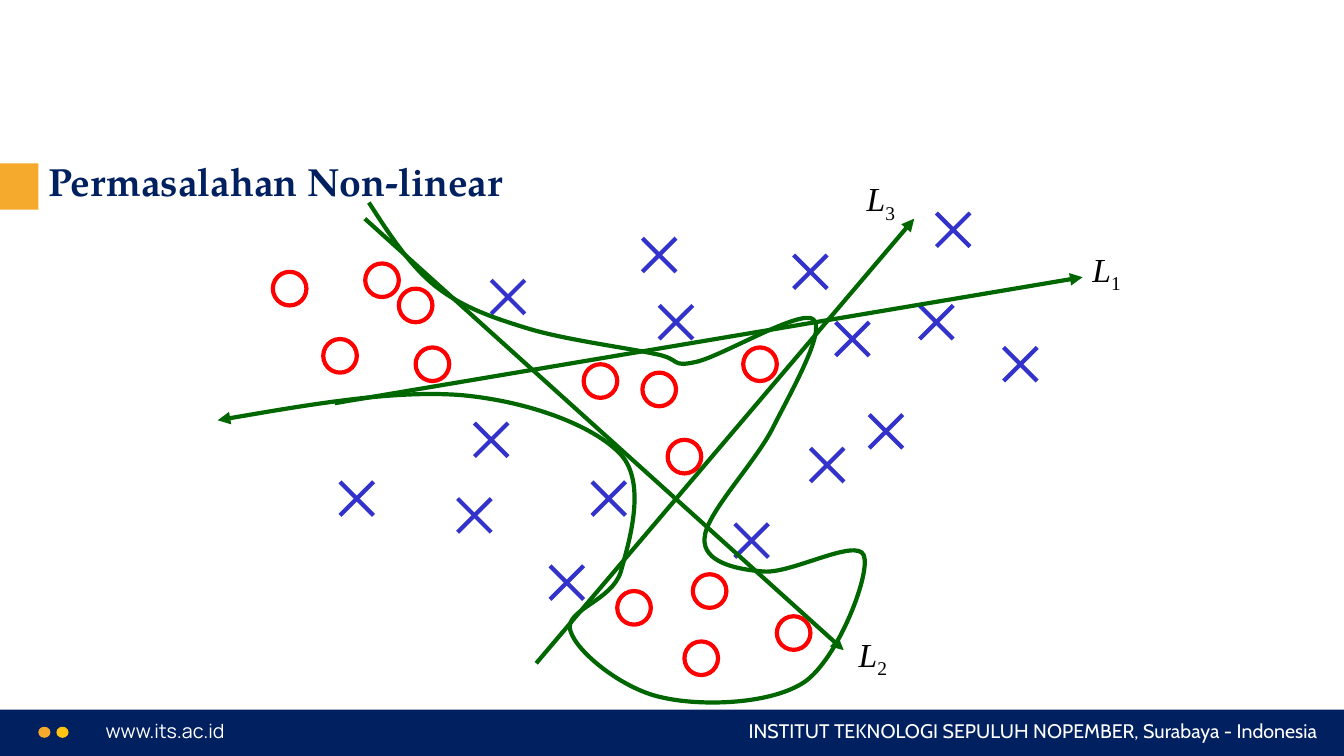
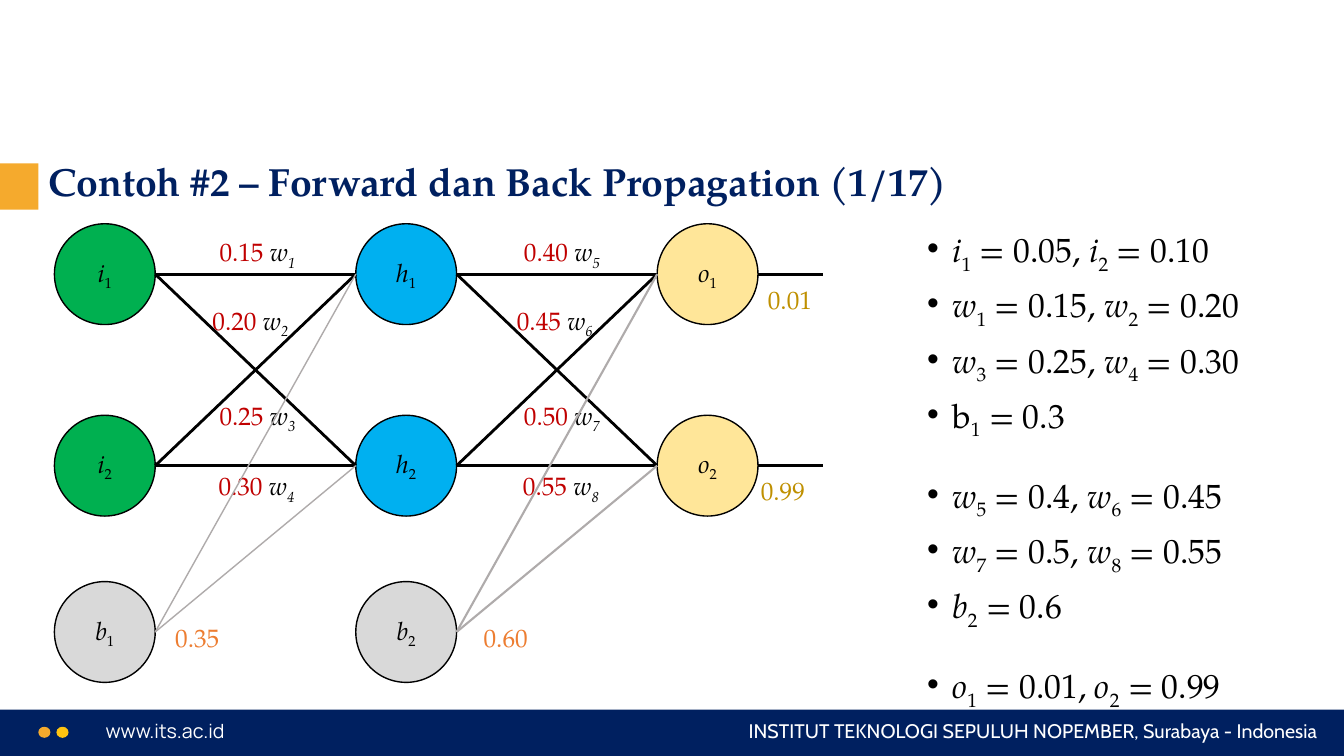
from dataclasses import dataclass
from itertools import chain

from lxml import etree
from pptx import Presentation
from pptx.dml.color import RGBColor
from pptx.enum.shapes import MSO_CONNECTOR, MSO_SHAPE
from pptx.enum.text import MSO_ANCHOR, PP_ALIGN
from pptx.oxml.ns import qn
from pptx.util import Inches, Pt

STRAIGHT = MSO_CONNECTOR.STRAIGHT
OVAL, RECTANGLE = MSO_SHAPE.OVAL, MSO_SHAPE.RECTANGLE
TOP, MIDDLE = MSO_ANCHOR.TOP, MSO_ANCHOR.MIDDLE
LEFT, CENTER, RIGHT = PP_ALIGN.LEFT, PP_ALIGN.CENTER, PP_ALIGN.RIGHT


@dataclass(frozen=True)
class Theme:
    width: float = 40 / 3
    height: float = 7.5
    navy: str = "002060"
    orange: str = "F5AA2D"
    yellow: str = "FFC411"
    white: str = "FFFFFF"
    black: str = "000000"
    cross: str = "3333CC"
    ring: str = "FF0000"
    boundary: str = "006600"
    input: str = "00B050"
    hidden: str = "00B0F0"
    output: str = "FFE699"
    bias: str = "D9D9D9"
    bias_edge: str = "AFABAB"
    weight: str = "C00000"
    bias_value: str = "ED7D31"
    target: str = "BF9000"
    serif: str = "TeX Gyre Pagella"
    math: str = "Times New Roman"
    site: str = "Manrope"
    institute: str = "Cabin"
    bullet: str = "Arial"
    title_size: int = 28
    body_size: int = 24
    label_size: int = 18
    footer_size: int = 14


THEME = Theme()
SITE = "www.its.ac.id"
INSTITUTE = "INSTITUT TEKNOLOGI SEPULUH NOPEMBER, Surabaya - Indonesia"

PLOT_TITLE = "Permasalahan Non-linear"
CELL = 1 / 12
PLOT_ORIGIN = (0.04, 0.03)
MARK_CELLS = 4
CROSSES = [
    (58, 33), (54, 59), (56, 50), (76, 28), (94, 30), (119, 41), (103, 49), (87, 62),
    (96, 53), (111, 25), (70, 57), (78, 36), (65, 67), (109, 36), (99, 38), (40, 57),
]
RINGS = [
    (76, 44), (88, 41), (69, 43), (79, 52), (73, 70), (43, 31), (47, 34),
    (32, 32), (81, 76), (38, 40), (49, 41), (82, 68), (92, 73),
]
SEPARATORS = [
    ("1", (3.32, 4), (10.74, 2.75), (10.74, 2.42)),
    ("2", (3.62, 2.17), (8.37, 6.45), (8.42, 6.24)),
    ("3", (5.32, 6.58), (9.07, 2.17), (8.5, 1.72)),
]
BOUNDARY_START = (2.16, 4.17)
BOUNDARY_CURVES = [
    ((3.03, 4.02), (3.91, 3.87), (4.57, 3.92)),
    ((5.24, 3.98), (5.89, 4.22), (6.16, 4.51)),
    ((6.42, 4.8), (6.24, 5.38), (6.16, 5.67)),
    ((6.07, 5.97), (5.59, 6.05), (5.66, 6.26)),
    ((5.72, 6.47), (6.18, 6.84), (6.57, 6.92)),
    ((6.96, 7.01), (7.66, 6.99), (7.99, 6.76)),
    ((8.32, 6.52), (8.64, 5.69), (8.57, 5.51)),
    ((8.5, 5.33), (7.84, 5.7), (7.57, 5.67)),
    ((7.31, 5.65), (6.97, 5.58), (6.99, 5.34)),
    ((7, 5.1), (7.47, 4.62), (7.66, 4.26)),
    ((7.84, 3.9), (8.2, 3.28), (8.07, 3.17)),
    ((7.95, 3.06), (7.17, 3.53), (6.91, 3.59)),
    ((6.64, 3.65), (6.77, 3.56), (6.49, 3.51)),
    ((6.21, 3.45), (5.6, 3.37), (5.24, 3.26)),
    ((4.88, 3.15), (4.59, 3.05), (4.32, 2.84)),
    ((4.06, 2.63), (3.86, 2.32), (3.66, 2.01)),
]

NETWORK_TITLE = "Contoh #2 – Forward dan Back Propagation (1/17)"
LAYER_LEFT, LAYER_PITCH, NODE_SIZE = 0.54, 2.99, 1
ROW_TOPS = (2.22, 4.12, 5.77)
BIAS_ROW = 2
LAYERS = [("i", THEME.input), ("h", THEME.hidden), ("o", THEME.output)]
WEIGHTS = [("0.15", "0.20", "0.25", "0.30"), ("0.40", "0.45", "0.50", "0.55")]
WEIGHT_LEFT, WEIGHT_PITCH = 2.08, 3.02
WEIGHT_SPOTS = [(0, 2.3), (-0.07, 2.98), (0, 3.92), (-0.01, 4.62)]
BIAS_EDGE_WIDTHS = (1, 1.5)
VALUES = [
    ("0.35", (1.64, 6.12), THEME.bias_value),
    ("0.60", (4.7, 6.12), THEME.bias_value),
    ("0.01", (7.52, 2.77), THEME.target),
    ("0.99", (7.45, 4.67), THEME.target),
]
EQUATION_GROUPS = [
    [
        [("i", "1", "0.05"), ("i", "2", "0.10")],
        [("w", "1", "0.15"), ("w", "2", "0.20")],
        [("w", "3", "0.25"), ("w", "4", "0.30")],
        [("b", "1", "0.3")],
    ],
    [
        [("w", "5", "0.4"), ("w", "6", "0.45")],
        [("w", "7", "0.5"), ("w", "8", "0.55")],
        [("b", "2", "0.6")],
    ],
    [[("o", "1", "0.01"), ("o", "2", "0.99")]],
]
UPRIGHT = ("b", "1", "0.3")
LINE_GAP, GROUP_GAP = 10, 27.5


def rgb(color):
    return RGBColor.from_string(color)


def plain(text, color=None):
    return text, False, False, color


def symbol(text):
    return text, True, False, None


def index(text, italic=False):
    return text, italic, True, None


def write(para, spans, size, color, font=THEME.serif, bold=False, align=LEFT):
    para.alignment = align
    para.font.name = font
    para.font.size = Pt(size)
    para.font.bold = bold
    para.font.color.rgb = rgb(color)
    for text, italic, lowered, span_color in spans:
        span = para.add_run()
        span.text = text
        span.font.italic = italic
        if span_color:
            span.font.color.rgb = rgb(span_color)
        if lowered:
            span._r.get_or_add_rPr().set("baseline", "-25000")


def add_box(page, left, top, width, height, wrap=True, anchor=TOP):
    box = page.shapes.add_textbox(*map(Inches, (left, top, width, height)))
    box.text_frame.word_wrap = wrap
    box.text_frame.vertical_anchor = anchor
    return box.text_frame


def add_label(page, place, size, spans, points, color, font=THEME.serif):
    frame = add_box(page, *place, *size, wrap=False)
    write(frame.paragraphs[0], spans, points, color, font)


def add_form(page, kind, left, top, width, height, fill=None, line=None, weight=1):
    form = page.shapes.add_shape(kind, *map(Inches, (left, top, width, height)))
    form.shadow.inherit = False
    if fill:
        form.fill.solid()
        form.fill.fore_color.rgb = rgb(fill)
    else:
        form.fill.background()
    if line:
        draw_line(form, line, weight)
    else:
        form.line.fill.background()
    return form


def draw_line(form, color, weight, arrow=None):
    form.line.color.rgb = rgb(color)
    form.line.width = Pt(weight)
    if arrow:
        outline = form.element.spPr.find(qn("a:ln"))
        etree.SubElement(outline, qn(f"a:{arrow}"), type="triangle")


def add_line(page, start, end, color, weight, arrow=None):
    line = page.shapes.add_connector(STRAIGHT, *map(Inches, (*start, *end)))
    draw_line(line, color, weight, arrow)
    etree.SubElement(line.element.spPr, qn("a:effectLst"))


def add_page(deck, title):
    page = deck.slides.add_slide(deck.slide_layouts[6])
    add_form(page, RECTANGLE, 0, 7.04, THEME.width, 0.46, THEME.navy)
    dots = page.shapes.add_group_shape()
    for left, color in ((0.38, THEME.orange), (0.56, THEME.yellow)):
        add_form(dots, OVAL, left, 7.21, 0.12, 0.11, color)
    for left, width, text, font, align in (
        (0.95, 4.28, SITE, THEME.site, LEFT),
        (5.91, 7.26, INSTITUTE, THEME.institute, RIGHT),
    ):
        frame = add_box(page, left, 7.08, width, 0.34)
        write(frame.paragraphs[0], [plain(text)], THEME.footer_size, THEME.white, font, align=align)
    add_form(page, RECTANGLE, 0, 1.62, 0.38, 0.46, THEME.orange)
    para = add_box(page, 0.38, 1.4, 12.56, 0.85, anchor=MIDDLE).paragraphs[0]
    para.line_spacing = 0.9
    write(para, [plain(title)], THEME.title_size, THEME.navy, bold=True)
    return page


def mark_place(column, row):
    return PLOT_ORIGIN[0] + column * CELL, PLOT_ORIGIN[1] + row * CELL


def add_boundary(page):
    builder = page.shapes.build_freeform(*map(Inches, BOUNDARY_START))
    points = [tuple(map(Inches, point)) for point in chain(*BOUNDARY_CURVES)]
    builder.add_line_segments(points, close=False)
    boundary = builder.convert_to_shape()
    segments = list(boundary.element.iter(qn("a:lnTo")))
    for first, second, end in zip(*[iter(segments)] * 3):
        first.tag = qn("a:cubicBezTo")
        for segment in (second, end):
            first.append(segment[0])
            segment.getparent().remove(segment)
    boundary.shadow.inherit = False
    boundary.fill.background()
    draw_line(boundary, THEME.boundary, 3, "headEnd")


def add_plot(deck):
    page = add_page(deck, PLOT_TITLE)
    side = MARK_CELLS * CELL
    crosses = page.shapes.add_group_shape()
    for cell in CROSSES:
        left, top = mark_place(*cell)
        right, bottom = left + side, top + side
        add_line(crosses, (right, top), (left, bottom), THEME.cross, 3)
        add_line(crosses, (left, top), (right, bottom), THEME.cross, 3)
    rings = page.shapes.add_group_shape()
    for cell in RINGS:
        add_form(rings, OVAL, *mark_place(*cell), side, side, line=THEME.ring, weight=3)
    add_boundary(page)
    for number, start, end, place in SEPARATORS:
        add_line(page, start, end, THEME.boundary, 3, "tailEnd")
        add_label(page, place, (0.5, 0.5), [symbol("L"), index(number)],
                  THEME.body_size, THEME.black, THEME.math)


def add_node(page, layer, row, name, number, fill):
    node = add_form(page, OVAL, LAYER_LEFT + layer * LAYER_PITCH, ROW_TOPS[row],
                    NODE_SIZE, NODE_SIZE, fill, THEME.black)
    node.text_frame.vertical_anchor = MIDDLE
    write(node.text_frame.paragraphs[0], [symbol(name), index(str(number))],
          THEME.label_size, THEME.black, align=CENTER)


def port(layer, row, outgoing):
    left = LAYER_LEFT + layer * LAYER_PITCH
    return left + NODE_SIZE * outgoing, ROW_TOPS[row] + NODE_SIZE / 2


def add_equations(page):
    frame = add_box(page, 9.1, 2.23, 3.37, 4.63)
    para = frame.paragraphs[0]
    for group_number, group in enumerate(EQUATION_GROUPS):
        for line_number, equations in enumerate(group):
            if group_number or line_number:
                para = frame.add_paragraph()
                para.space_before = Pt(LINE_GAP if line_number else GROUP_GAP)
            para.line_spacing = 0.9
            layout = para._p.get_or_add_pPr()
            layout.set("marL", str(Inches(0.25)))
            layout.set("indent", str(-Inches(0.25)))
            etree.SubElement(layout, qn("a:buFont"), typeface=THEME.bullet)
            etree.SubElement(layout, qn("a:buChar"), char="•")
            spans = []
            for equation in equations:
                name, number, value = equation
                if spans:
                    spans.append(plain(", "))
                letter = plain if equation == UPRIGHT else symbol
                spans += [letter(name), index(number), plain(f" = {value}")]
            write(para, spans, THEME.body_size, THEME.black)


def add_network(deck):
    page = add_page(deck, NETWORK_TITLE)
    for layer, (name, fill) in enumerate(LAYERS):
        for row in range(BIAS_ROW):
            add_node(page, layer, row, name, row + 1, fill)
    for layer, weights in enumerate(WEIGHTS):
        add_node(page, layer, BIAS_ROW, "b", layer + 1, THEME.bias)
        for source in range(BIAS_ROW):
            for target in range(BIAS_ROW):
                add_line(page, port(layer, source, True), port(layer + 1, target, False), THEME.black, 2)
        for spot, (value, (shift, top)) in enumerate(zip(weights, WEIGHT_SPOTS)):
            number = str(layer * len(weights) + spot + 1)
            spans = [plain(f"{value} ", THEME.weight), symbol("w"), index(number, True)]
            place = (WEIGHT_LEFT + layer * WEIGHT_PITCH + shift, top)
            add_label(page, place, (0.97, 0.4), spans, THEME.label_size, THEME.black)
        for target in range(BIAS_ROW):
            add_line(page, port(layer, BIAS_ROW, True), port(layer + 1, target, False),
                     THEME.bias_edge, BIAS_EDGE_WIDTHS[layer])
    for row in range(BIAS_ROW):
        left, middle = port(len(LAYERS) - 1, row, True)
        add_line(page, (left, middle), (left + 0.65, middle), THEME.black, 2)
    for value, place, color in VALUES:
        add_label(page, place, (0.64, 0.4), [plain(value)], THEME.label_size, color)
    add_equations(page)


def main():
    deck = Presentation()
    deck.slide_width, deck.slide_height = Inches(THEME.width), Inches(THEME.height)
    add_plot(deck)
    add_network(deck)
    deck.save("out.pptx")


if __name__ == "__main__":
    main()
